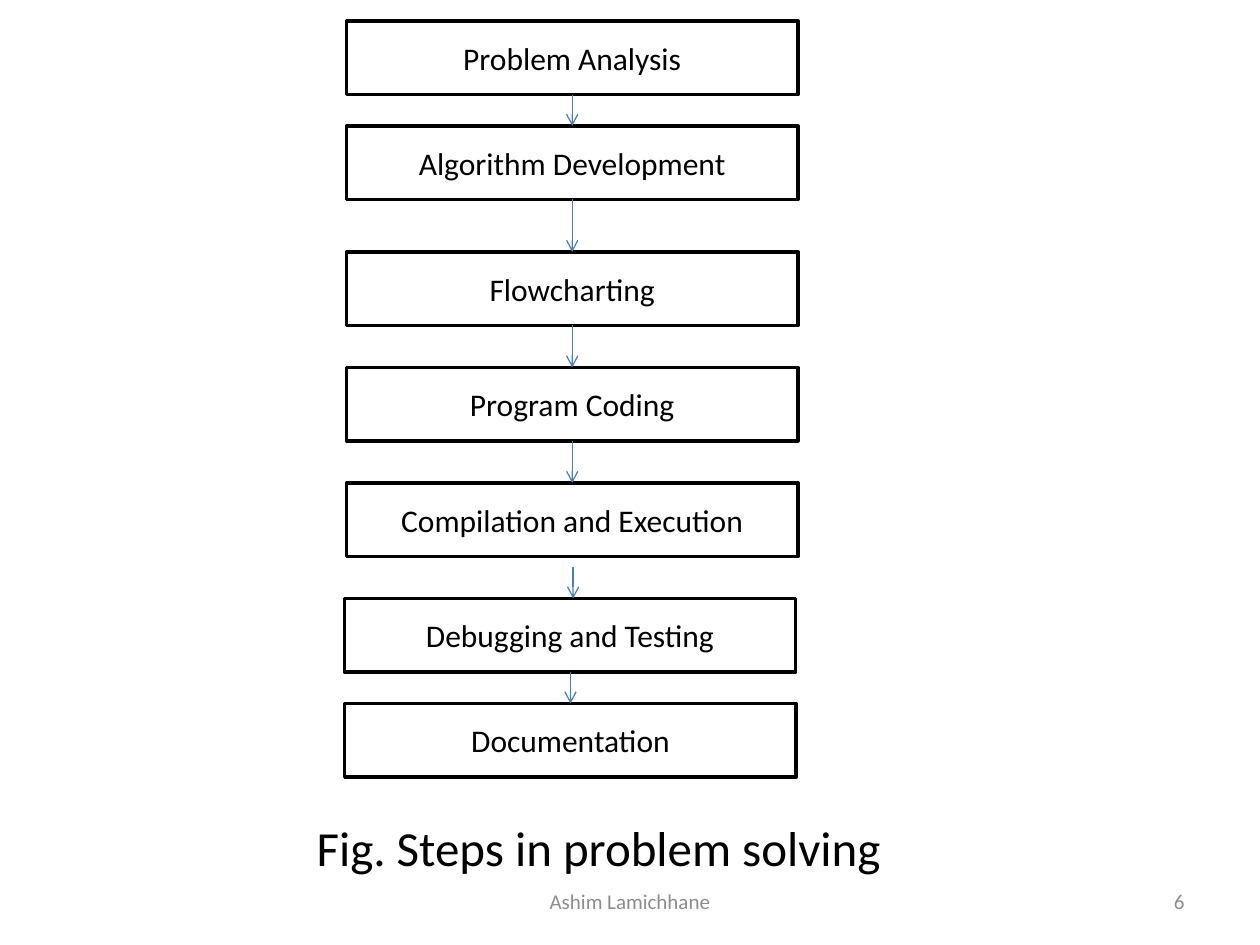
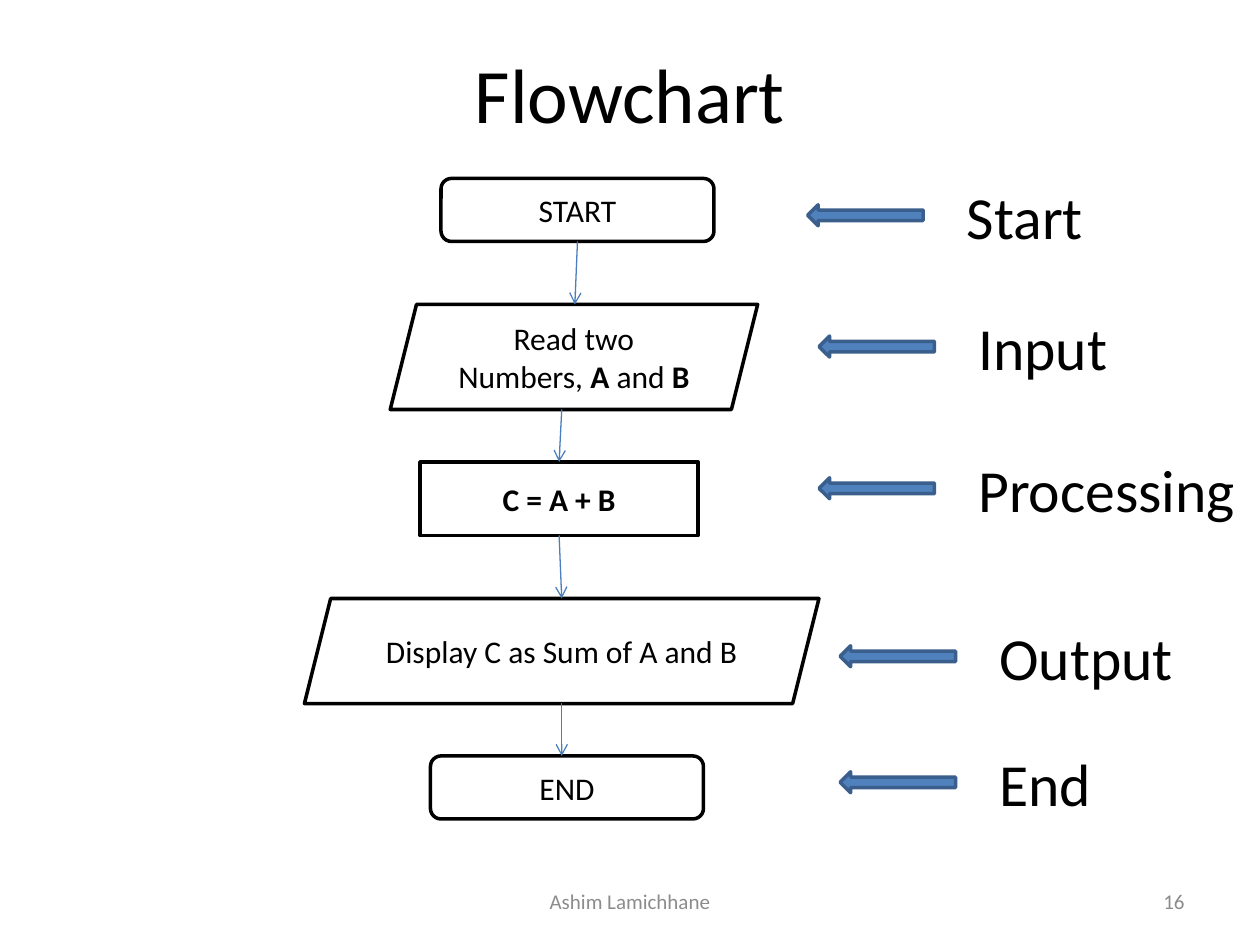
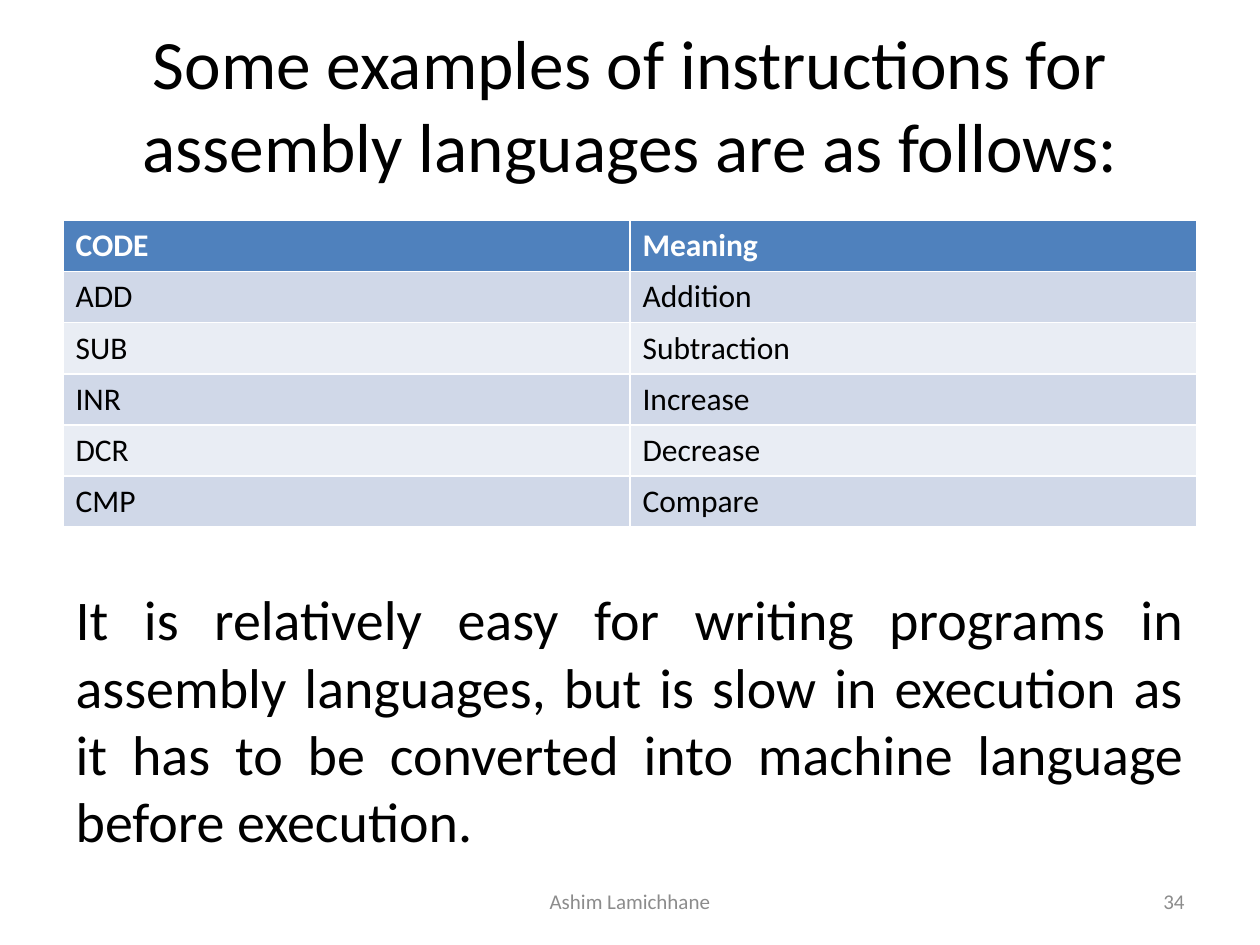
import pptx
import pptx.dml.color
import pptx.enum.shapes
import pptx.enum.text
import pptx.oxml
import pptx.oxml.ns
import pptx.util
from itertools import cycle

Pt = pptx.util.Pt
SHAPE = pptx.enum.shapes.MSO_SHAPE
ALIGN = pptx.enum.text.PP_ALIGN
MIDDLE = pptx.enum.text.MSO_ANCHOR.MIDDLE

FONT = "Calibri"
BLACK, WHITE, GREY = "000000", "FFFFFF", "8C8C8C"
BLUE, DARK_BLUE, ARROW_BLUE = "4F81BD", "3A5F8C", "4B7EBC"
BANDS = ("D0D8E8", "E9EDF4")
AUTHOR = "Ashim Lamichhane"
TITLE_ONLY, TITLE_AND_BODY = 5, 1


def rgb(value):
    """Turn a hex string into a colour."""
    return pptx.dml.color.RGBColor.from_string(value)


def write(tf, *paragraphs, size=18, color=BLACK, bold=False, align=None, anchor=MIDDLE):
    """Fill a text frame; a paragraph is a string or a list of (text, bold) runs."""
    tf.word_wrap = True
    tf.auto_size = pptx.enum.text.MSO_AUTO_SIZE.NONE
    tf.vertical_anchor = anchor
    for i, runs in enumerate(paragraphs):
        p = tf.paragraphs[0] if i == 0 else tf.add_paragraph()
        p.alignment = align
        p.space_before = Pt(0)
        for text, strong in [(runs, bold)] if isinstance(runs, str) else runs:
            r = p.add_run()
            r.text = text
            r.font.name = FONT
            r.font.size = Pt(size)
            r.font.bold = strong
            r.font.color.rgb = rgb(color)


def place(sp, box):
    """Move a shape to a box of left, top, width, height."""
    sp.left, sp.top, sp.width, sp.height = map(Pt, box)


def add_label(s, box, text, **fmt):
    """Add a plain text box."""
    write(s.shapes.add_textbox(*map(Pt, box)).text_frame, text, **fmt)


def add_block(s, kind, box, *paragraphs, fill=WHITE, line=BLACK, **fmt):
    """Add an outlined preset shape with centred text."""
    sp = s.shapes.add_shape(kind, *map(Pt, box))
    sp.shadow.inherit = False
    sp.fill.solid()
    sp.fill.fore_color.rgb = rgb(fill)
    sp.line.color.rgb = rgb(line)
    sp.line.width = Pt(2)
    if paragraphs:
        write(sp.text_frame, *paragraphs, align=ALIGN.CENTER, **fmt)
    return sp


def add_arrow(s, x1, y1, x2, y2):
    """Add a thin line with an open arrowhead at its end."""
    line = s.shapes.add_connector(
        pptx.enum.shapes.MSO_CONNECTOR.STRAIGHT, Pt(x1), Pt(y1), Pt(x2), Pt(y2))
    line.line.color.rgb = rgb(ARROW_BLUE)
    line.line.width = Pt(0.75)
    ln = line.line._get_or_add_ln()
    pptx.oxml.ns.qn("a:tailEnd")
    ln.append(pptx.oxml.parse_xml(
        '<a:tailEnd %s type="arrow"/>' % pptx.oxml.ns.nsdecls("a")))
    line._element.spPr.append(pptx.oxml.parse_xml(
        "<a:effectLst %s/>" % pptx.oxml.ns.nsdecls("a")))


def new_slide(prs, layout, title, box, size, number):
    """Add a slide with its title, author footer and page number."""
    s = prs.slides.add_slide(prs.slide_layouts[layout])
    place(s.shapes.title, box)
    write(s.shapes.title.text_frame, title, size=size, align=ALIGN.CENTER)
    add_label(s, (246, 500.5, 228, 28.75), AUTHOR, size=12, color=GREY, align=ALIGN.CENTER)
    add_label(s, (516, 500.5, 168, 28.75), str(number), size=12, color=GREY, align=ALIGN.RIGHT)
    return s


def add_steps(s, left, top, width, height, steps):
    """Stack step boxes given as (text, offset, x shift) and join them with arrows."""
    mid = left + width / 2
    previous = None
    for text, offset, shift in steps:
        y = top + offset
        add_block(s, SHAPE.RECTANGLE, (left + shift, y, width, height), text)
        if text == "Debugging and Testing":
            add_arrow(s, mid + 0.5, y - 18, mid + 0.5, y)
        elif previous is not None:
            add_arrow(s, mid + shift, previous, mid + shift, y)
        previous = y + height


def add_flow(s, left, top):
    """Draw the flowchart blocks and the arrows between them."""
    blocks = (
        (SHAPE.ROUNDED_RECTANGLE, (78, 0, 156, 36), ["START"], False),
        (SHAPE.PARALLELOGRAM, (49, 72, 210, 60),
         ["Read two", [("Numbers, ", False), ("A", True), (" and ", False), ("B", True)]], False),
        (SHAPE.RECTANGLE, (66, 162, 159, 42), ["C = A + B"], True),
        (SHAPE.PARALLELOGRAM, (0, 240, 294, 60), ["Display C as Sum of A and B"], False),
        (SHAPE.ROUNDED_RECTANGLE, (72, 330, 156, 36), ["END"], False),
    )
    for kind, (x, y, w, h), paragraphs, bold in blocks:
        add_block(s, kind, (left + x, top + y, w, h), *paragraphs, bold=bold)
    ends = ((156, 154.5), (147, 145.5), (145.5, 147), (147, 147))
    for (x1, x2), (_, upper, *_), (_, lower, *_) in zip(ends, blocks, blocks[1:]):
        add_arrow(s, left + x1, top + upper[1] + upper[3], left + x2, top + lower[1])


def add_role(s, left, top, width, text):
    """Add a block arrow pointing left and the name of the role beside it."""
    sp = add_block(s, SHAPE.RIGHT_ARROW, (left, top + 15, 66, 12), fill=BLUE, line=DARK_BLUE)
    sp.rotation = 180
    add_label(s, (left + 84, top, width, 42), text, size=34.1)


def add_code_table(s, left, top, width, row_height, rows):
    """Add a table with a header row and two alternating band colours."""
    table = s.shapes.add_table(
        len(rows), len(rows[0]), Pt(left), Pt(top), Pt(width), Pt(row_height * len(rows))).table
    bands = cycle(BANDS)
    for i, values in enumerate(rows):
        fill = BLUE if i == 0 else next(bands)
        for j, value in enumerate(values):
            cell = table.cell(i, j)
            cell.fill.solid()
            cell.fill.fore_color.rgb = rgb(fill)
            write(cell.text_frame, value, bold=i == 0, color=BLACK if i else WHITE, anchor=None)


def add_body(s, box, text):
    """Set the body placeholder as one justified paragraph without a bullet."""
    sp = s.placeholders[1]
    place(sp, box)
    write(sp.text_frame, text, size=32, align=ALIGN.JUSTIFY)
    pPr = sp.text_frame.paragraphs[0]._p.get_or_add_pPr()
    pPr.set("marL", "0")
    pPr.set("indent", "0")
    pPr.append(pptx.oxml.parse_xml("<a:buNone %s/>" % pptx.oxml.ns.nsdecls("a")))


def main():
    """Build the three slides."""
    prs = pptx.Presentation()
    prs.slide_width, prs.slide_height = Pt(720), Pt(540)

    s = new_slide(prs, TITLE_ONLY, "Fig. Steps in problem solving", (132, 456, 420, 56), 28, 6)
    add_steps(s, 198, 12, 258, 42, (
        ("Problem Analysis", 0, 0),
        ("Algorithm Development", 60, 0),
        ("Flowcharting", 132, 0),
        ("Program Coding", 198, 0),
        ("Compilation and Execution", 264, 0),
        ("Debugging and Testing", 330, -1.25),
        ("Documentation", 390, -1),
    ))

    s = new_slide(prs, TITLE_ONLY, "Flowchart", (36, 21.6, 648, 62.4), 44, 16)
    add_flow(s, 174, 102)
    for text, left, top, width in (
        ("Start", 461.5, 102, 117),
        ("Input", 468, 177, 222),
        ("Processing", 468, 258, 222),
        ("Output", 480, 354, 222),
        ("End", 480, 426, 222),
    ):
        add_role(s, left, top, width, text)

    s = new_slide(prs, TITLE_AND_BODY,
                  "Some examples of instructions for assembly languages are as follows:",
                  (36, 21.6, 648, 74.4), 39.6, 34)
    add_code_table(s, 36, 126, 648, 29.2, (
        ("CODE", "Meaning"),
        ("ADD", "Addition"),
        ("SUB", "Subtraction"),
        ("INR", "Increase"),
        ("DCR", "Decrease"),
        ("CMP", "Compare"),
    ))
    add_body(s, (36, 336, 648, 150),
             "It is relatively easy for writing programs in assembly languages, but is slow in "
             "execution as it has to be converted into machine language before execution.")

    prs.save("out.pptx")


main()
